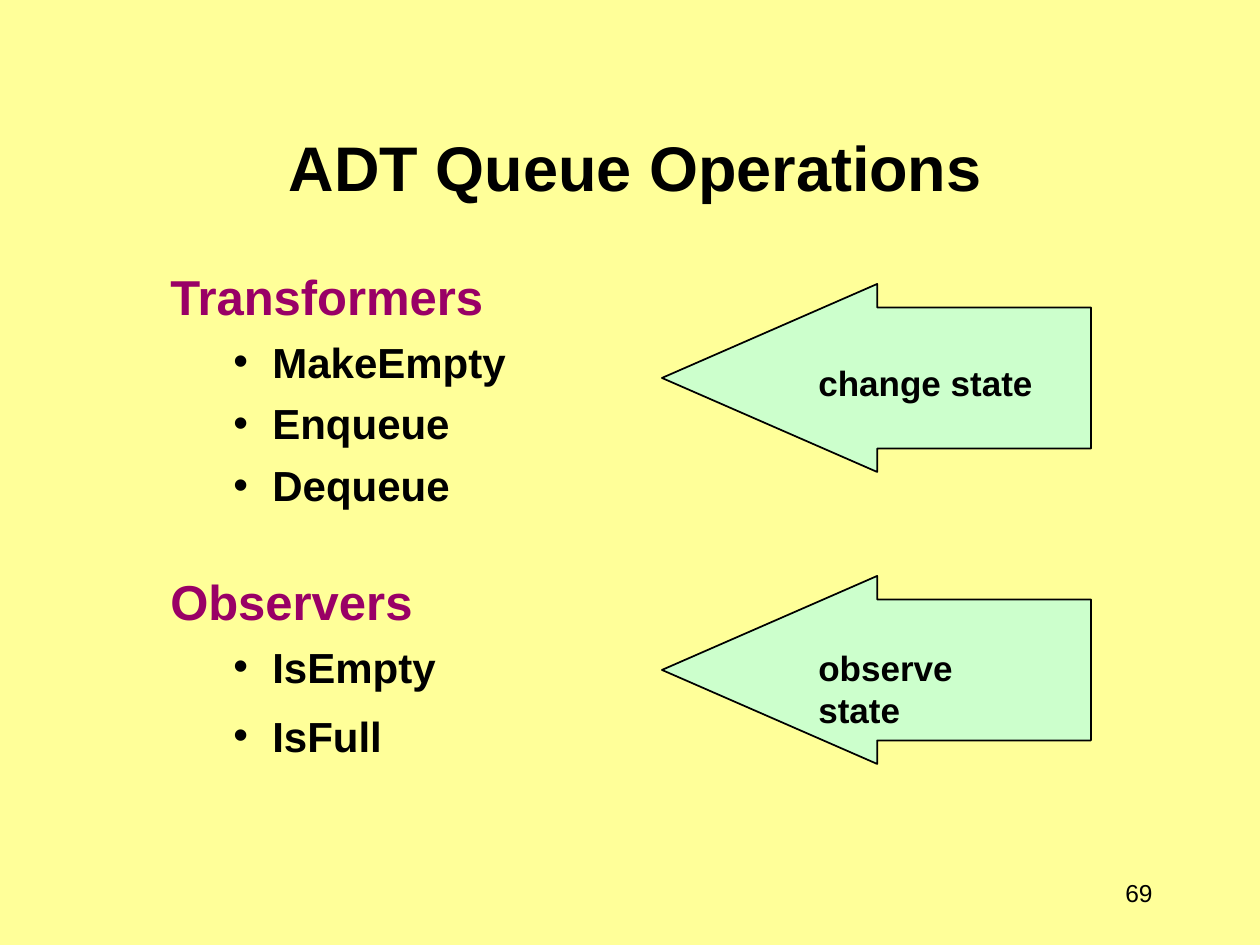
from pptx import Presentation
from pptx.dml.color import RGBColor
from pptx.enum.shapes import MSO_SHAPE
from pptx.enum.text import MSO_ANCHOR, PP_ALIGN
from pptx.oxml.ns import qn
from pptx.util import Emu, Pt
from lxml.etree import SubElement

COLORS = {"page": "FFFF99", "ink": "000000", "head": "990066", "arrow": "CCFFCC"}
SCALE = 914400 // 126


def px(n):
    return Emu(n * SCALE)


def color(name):
    return RGBColor.from_string(COLORS[name])


def write(para, text, size=20, tint="ink", bold=True, align=PP_ALIGN.LEFT,
          gap=0, left=0, hang=0, bullet=None):
    run = para.add_run()
    run.text = text
    font = run.font
    font.name, font.size, font.bold = "Arial", Pt(size), bold
    font.color.rgb = color(tint)
    para.alignment = align
    para.space_before = Pt(gap)
    props = para._p.get_or_add_pPr()
    props.set("marL", str(px(left)))
    props.set("indent", str(px(-hang)))
    if bullet:
        SubElement(props, qn("a:buFont")).set("typeface", "Arial")
        SubElement(props, qn("a:buChar")).set("char", bullet)
    else:
        SubElement(props, qn("a:buNone"))


class Deck:
    def __init__(self):
        self.file = Presentation()
        self.file.slide_width, self.file.slide_height = px(1260), px(945)
        self.slide = self.file.slides.add_slide(self.file.slide_layouts[5])
        fill = self.slide.background.fill
        fill.solid()
        fill.fore_color.rgb = color("page")

    def title(self, text, box, **style):
        shape = self.slide.shapes.title
        shape.left, shape.top, shape.width, shape.height = map(px, box)
        shape.text_frame.vertical_anchor = MSO_ANCHOR.BOTTOM
        write(shape.text_frame.paragraphs[0], text, **style)

    def text(self, lines, box, anchor=MSO_ANCHOR.TOP):
        frame = self.slide.shapes.add_textbox(*map(px, box)).text_frame
        frame.word_wrap = True
        frame.vertical_anchor = anchor
        for i, (line, style) in enumerate(lines):
            para = frame.add_paragraph() if i else frame.paragraphs[0]
            write(para, line, **style)

    def arrow(self, box):
        shape = self.slide.shapes.add_shape(MSO_SHAPE.LEFT_ARROW, *map(px, box))
        shape.adjustments[0], shape.adjustments[1] = 0.75, 1.145
        shape.shadow.inherit = False
        shape.fill.solid()
        shape.fill.fore_color.rgb = color("arrow")
        shape.line.color.rgb = color("ink")
        shape.line.width = Pt(1)


deck = Deck()
deck.title("ADT Queue Operations", (42, 42, 1187, 168), size=36,
           align=PP_ALIGN.CENTER)

# Operation groups
head = dict(size=28, tint="head", left=48, hang=48)
item = dict(size=24, gap=6.4, left=102, hang=39, bullet="•")
deck.text([
    ("Transformers", head | {"gap": 3}),
    ("MakeEmpty", item),
    ("Enqueue", item),
    ("Dequeue", item),
    ("Observers", head | {"gap": 35}),
    ("IsEmpty", item),
    ("IsFull", item | {"gap": 10.6}),
], (158, 260, 480, 577))

# Arrows and their labels
for label, top, drop, width in (("change state", 284, 71, 251),
                                ("observe state", 576, 64, 200)):
    deck.arrow((662, top, 429, 188))
    deck.text([(label, {})], (806, top + drop, width, 60))

# Page number
deck.text([("69", dict(size=14, bold=False, align=PP_ALIGN.RIGHT))],
          (1081, 861, 84, 63), MSO_ANCHOR.MIDDLE)

deck.file.save("out.pptx")
